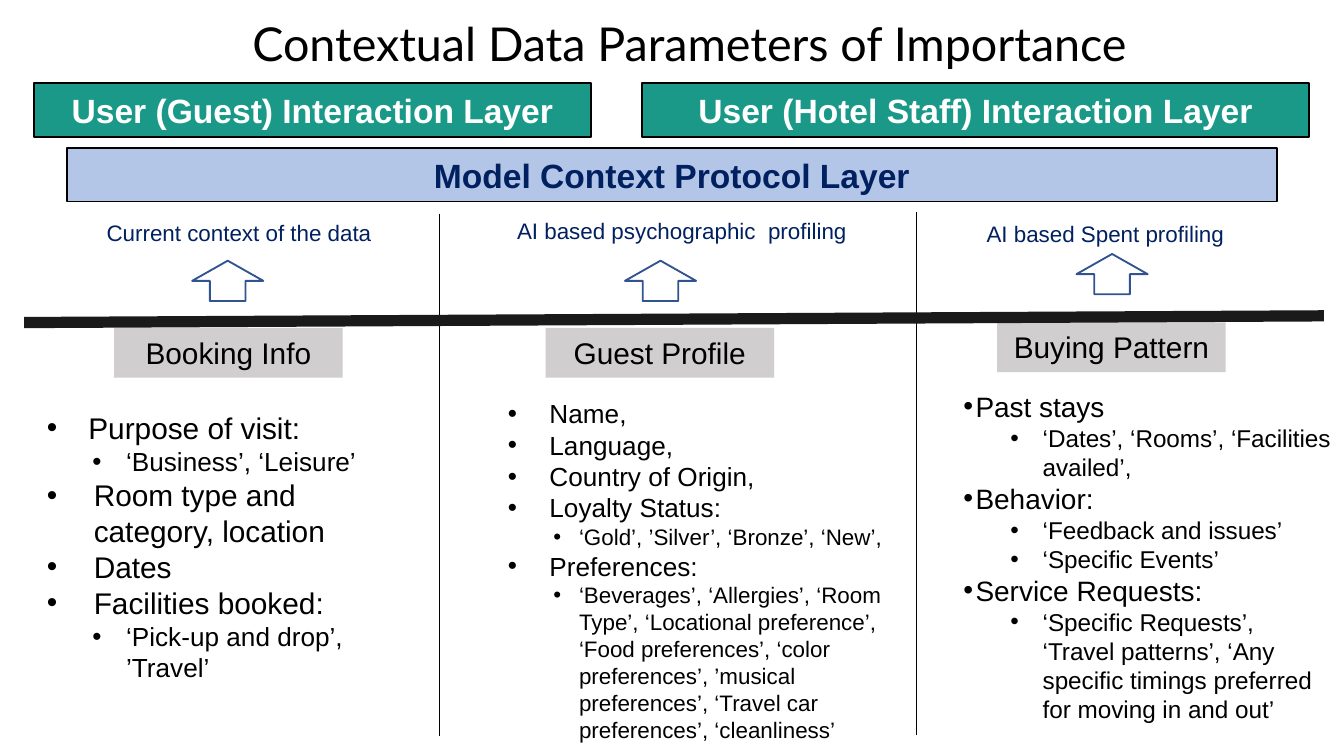
"""Build the slide of contextual data parameters for hotel guests."""
from dataclasses import dataclass

from lxml.etree import SubElement
from pptx import Presentation
from pptx.dml.color import RGBColor
from pptx.enum.shapes import MSO_CONNECTOR, MSO_SHAPE
from pptx.enum.text import MSO_ANCHOR, PP_ALIGN
from pptx.oxml.ns import qn
from pptx.shapes.autoshape import Shape
from pptx.slide import Slide
from pptx.util import Inches, Pt

COLORS = {
    "black": "000000",
    "white": "FFFFFF",
    "navy": "002060",
    "teal": "1A9988",
    "pale_blue": "B3C6E7",
    "gray": "D0CECE",
    "arrow": "31538F",
    "divider": "1A1A1A",
}


@dataclass(frozen=True)
class Area:
    left: float
    top: float
    width: float
    height: float


@dataclass(frozen=True)
class Style:
    size: float
    color: str = "black"
    bold: bool = False
    name: str = "Arial"
    align: PP_ALIGN = PP_ALIGN.CENTER


@dataclass(frozen=True)
class Layer:
    text: str
    area: Area
    fill: str
    color: str


@dataclass(frozen=True)
class Level:
    size: float
    margin: float
    hanging: float


@dataclass(frozen=True)
class Item:
    text: str
    level: int = 0
    margin: float | None = None
    hanging: float | None = None


@dataclass(frozen=True)
class Column:
    caption: str
    caption_area: Area
    arrow_left: float
    arrow_top: float
    heading: str
    heading_left: float
    heading_top: float
    list_area: Area
    levels: tuple[Level, Level]
    items: tuple[Item, ...]


LAYERS = (
    Layer("Model Context Protocol Layer", Area(0.5, 1.1, 9, 0.4), "pale_blue", "navy"),
    Layer("User (Guest) Interaction Layer", Area(0.25, 0.62, 4.15, 0.4), "teal", "white"),
    Layer("User (Hotel Staff) Interaction Layer", Area(4.78, 0.62, 4.96, 0.4), "teal", "white"),
)

COLUMNS = (
    Column(
        "Current context of the data", Area(0.51, 1.58, 2.54, 0.3), 1.43, 1.94,
        "Booking Info", 0.85, 2.44, Area(0.25, 3, 2.66, 2.15),
        (Level(16, 0.35, 0.35), Level(14, 0.59, 0.25)),
        (
            Item("Purpose of visit:", margin=0.31, hanging=0.33),
            Item("‘Business’, ‘Leisure’", 1),
            Item("Room type and category, location"),
            Item("Dates"),
            Item("Facilities booked:"),
            Item("‘Pick-up and drop’, ’Travel’", 1),
        ),
    ),
    Column(
        "AI based psychographic  profiling", Area(3.44, 1.57, 3.27, 0.3), 4.65, 1.94,
        "Guest Profile", 4.06, 2.44, Area(3.68, 2.91, 3.09, 2.69),
        (Level(14, 0.31, 0.31), Level(12, 0.53, 0.19)),
        (
            Item("Name,"),
            Item("Language,"),
            Item("Country of Origin,"),
            Item("Loyalty Status:"),
            Item("‘Gold’, ’Silver’, ‘Bronze’, ‘New’,", 1),
            Item("Preferences:"),
            Item("‘Beverages’, ‘Allergies’, ‘Room Type’, ‘Locational preference’, "
                 "‘Food preferences’, ‘color preferences’, ’musical preferences’, "
                 "‘Travel car preferences’, ‘cleanliness’", 1),
        ),
    ),
    Column(
        "AI based Spent profiling", Area(7.19, 1.59, 2.07, 0.3), 8.01, 1.89,
        "Buying Pattern", 7.42, 2.4, Area(7.07, 2.85, 2.93, 2.61),
        (Level(15, 0.09, 0.09), Level(13, 0.59, 0.24)),
        (
            Item("Past stays"),
            Item("‘Dates’, ‘Rooms’, ‘Facilities availed’,", 1),
            Item("Behavior:"),
            Item("‘Feedback and issues’", 1),
            Item("‘Specific Events’", 1),
            Item("Service Requests:"),
            Item("‘Specific Requests’, ‘Travel patterns’, ‘Any specific timings "
                 "preferred for moving in and out’", 1),
        ),
    ),
)


def rgb(color: str) -> RGBColor:
    return RGBColor.from_string(COLORS[color])


def inches(area: Area) -> tuple[Inches, ...]:
    return tuple(Inches(value) for value in (area.left, area.top, area.width, area.height))


def style_paragraph(paragraph, style: Style) -> None:
    paragraph.alignment = style.align
    font = paragraph.font
    font.name, font.size, font.bold = style.name, Pt(style.size), style.bold
    font.color.rgb = rgb(style.color)


def write(shape: Shape, text: str, style: Style, anchor=MSO_ANCHOR.TOP) -> None:
    frame = shape.text_frame
    frame.word_wrap = True
    frame.vertical_anchor = anchor
    frame.text = text
    style_paragraph(frame.paragraphs[0], style)


def add_text(page: Slide, area: Area, text: str, style: Style) -> Shape:
    box = page.shapes.add_textbox(*inches(area))
    write(box, text, style)
    return box


def add_shape(page: Slide, kind: MSO_SHAPE, area: Area, fill: str = "", line: str = "") -> Shape:
    shape = page.shapes.add_shape(kind, *inches(area))
    shape.shadow.inherit = False
    for part, color in ((shape.fill, fill), (shape.line.fill, line)):
        if color:
            part.solid()
            part.fore_color.rgb = rgb(color)
        else:
            part.background()
    if line:
        shape.line.width = Pt(1)
    return shape


def add_line(page: Slide, start: tuple, end: tuple, color: str, width: float) -> None:
    points = [Inches(value) for value in (*start, *end)]
    line = page.shapes.add_connector(MSO_CONNECTOR.STRAIGHT, *points)
    line.line.color.rgb = rgb(color)
    line.line.width = Pt(width)
    SubElement(line._element.spPr, qn("a:effectLst"))


def add_bullet(paragraph, margin: float, hanging: float) -> None:
    properties = paragraph._p.get_or_add_pPr()
    properties.set("marL", str(Inches(margin)))
    properties.set("indent", str(-Inches(hanging)))
    color = SubElement(properties, qn("a:buClr"))
    SubElement(color, qn("a:srgbClr"), val=COLORS["black"])
    SubElement(properties, qn("a:buFont"), typeface="Arial")
    SubElement(properties, qn("a:buChar"), char="•")


def add_list(page: Slide, column: Column) -> None:
    frame = page.shapes.add_textbox(*inches(column.list_area)).text_frame
    frame.word_wrap = True
    for index, item in enumerate(column.items):
        paragraph = frame.add_paragraph() if index else frame.paragraphs[0]
        level = column.levels[item.level]
        paragraph.text = item.text
        paragraph.level = item.level
        add_bullet(paragraph, item.margin or level.margin, item.hanging or level.hanging)
        style_paragraph(paragraph, Style(level.size, align=PP_ALIGN.LEFT))


def add_column(page: Slide, column: Column) -> None:
    heading_area = Area(column.heading_left, column.heading_top, 1.7, 0.37)
    heading = add_shape(page, MSO_SHAPE.RECTANGLE, heading_area, fill="gray")
    write(heading, column.heading, Style(16))
    add_list(page, column)
    add_text(page, column.caption_area, column.caption, Style(12, "navy"))
    arrow_area = Area(column.arrow_left, column.arrow_top, 0.53, 0.3)
    add_shape(page, MSO_SHAPE.UP_ARROW, arrow_area, line="arrow")


def main() -> None:
    deck = Presentation()
    deck.slide_width, deck.slide_height = Inches(10), Inches(10 * 9 / 16)
    page = deck.slides.add_slide(deck.slide_layouts[6])
    title = add_text(page, Area(1.78, 0.11, 7.04, 0.76), "Contextual Data Parameters of Importance",
                     Style(25, name="Lato", align=PP_ALIGN.LEFT))
    title.text_frame.paragraphs[0].line_spacing = 0.9
    for left, top in ((3.27, 1.59), (6.82, 1.58)):
        add_line(page, (left, top), (left, top + 3.89), "black", 0.75)
    for column in COLUMNS:
        add_column(page, column)
    for layer in LAYERS:
        bar = add_shape(page, MSO_SHAPE.RECTANGLE, layer.area, layer.fill, "black")
        write(bar, layer.text, Style(18, layer.color, bold=True), MSO_ANCHOR.MIDDLE)
    add_line(page, (0.18, 2.4), (9.85, 2.35), "divider", 6)
    deck.save("out.pptx")


if __name__ == "__main__":
    main()
